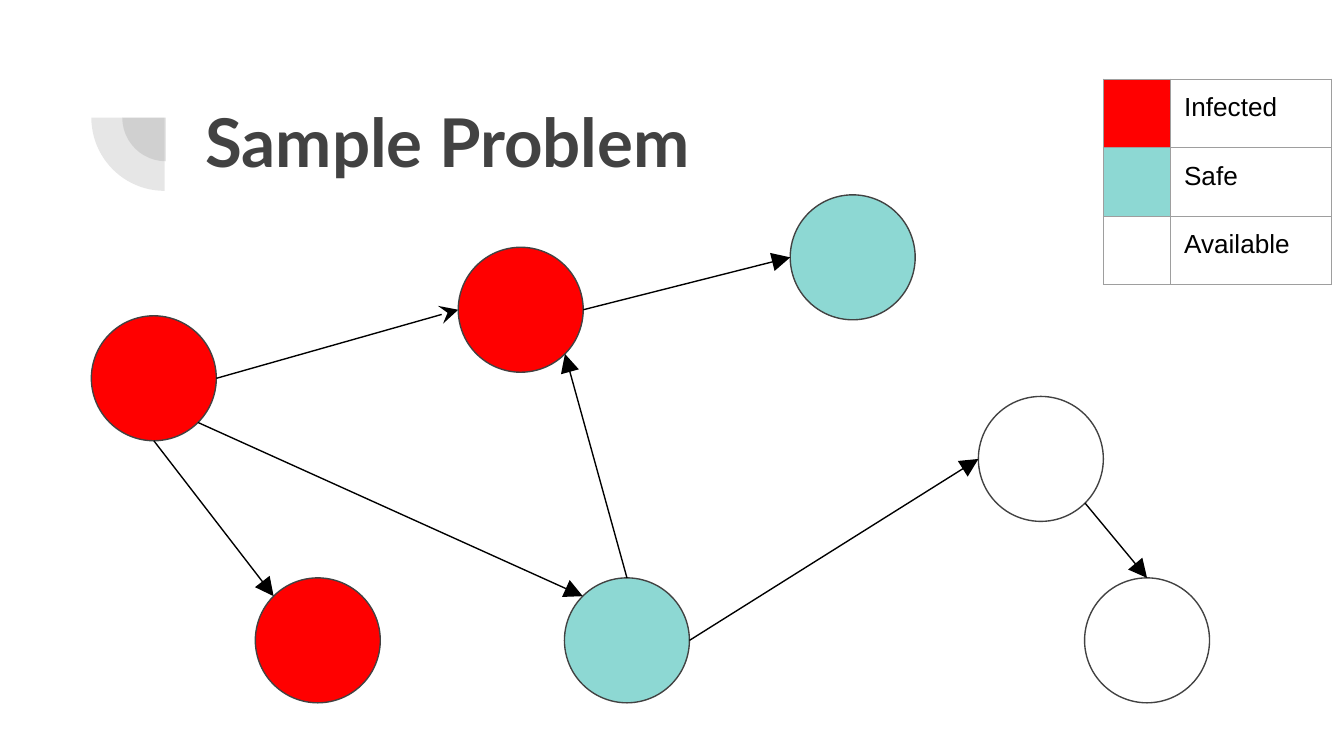
from dataclasses import dataclass
from math import cos, radians, sin

from lxml.etree import SubElement
from pptx import Presentation
from pptx.dml.color import RGBColor as RGB
from pptx.enum.shapes import MSO_CONNECTOR as LINK, MSO_SHAPE as SHAPE
from pptx.enum.text import MSO_ANCHOR as ANCHOR
from pptx.oxml import parse_xml
from pptx.oxml.ns import nsdecls, qn
from pptx.util import Inches, Pt


@dataclass(frozen=True)
class Theme:
    dark: str = "424242"
    black: str = "000000"
    grid: str = "9E9E9E"
    red: str = "FF0000"
    teal: str = "8DD8D3"
    white: str = "FFFFFF"
    title: int = 36
    label: int = 14
    line: float = 0.75
    head: str = "Lato"
    body: str = "Arial"


T = Theme()
WIDTH = 10
SIZE = 0.93

# name: left, top, fill
NODES = {
    "start": (0.68, 2.35, T.red),
    "upper": (3.41, 1.84, T.red),
    "lower": (1.9, 4.3, T.red),
    "guard": (4.2, 4.3, T.teal),
    "top": (5.88, 1.45, T.teal),
    "right": (7.28, 2.95, T.white),
    "last": (8.07, 4.3, T.white),
}

# Clockwise angles from the right-hand side of a node
E, SE, S, W, NW, N = 0, 45, 90, 180, 225, 270

EDGES = [
    ("start", E, "upper", W, "stealth"),
    ("upper", E, "top", W, "triangle"),
    ("start", SE, "guard", NW, "triangle"),
    ("guard", N, "upper", SE, "triangle"),
    ("guard", E, "right", W, "triangle"),
    ("start", S, "lower", NW, "triangle"),
    ("right", SE, "last", N, "triangle"),
]

LEGEND = [("Infected", T.red), ("Safe", T.teal), ("Available", None)]


def style(item, **values):
    for name, value in values.items():
        setattr(item, name, value)


def paint(fill, color):
    fill.solid()
    fill.fore_color.rgb = RGB.from_string(color)


def add_pie(slide, left, top, size):
    """Draw a faint quarter disc."""
    pie = slide.shapes.add_shape(
        SHAPE.PIE, Inches(left), Inches(top), Inches(size), Inches(size))
    pie.shadow.inherit = False
    pie.rotation = 270
    pie.adjustments[0], pie.adjustments[1] = 108, 162
    paint(pie.fill, T.dark)
    color = pie._element.spPr.find(".//" + qn("a:srgbClr"))
    SubElement(color, qn("a:alpha"), val="13000")
    pie.line.fill.background()


def add_title(slide, text):
    box = slide.shapes.add_textbox(
        Inches(1.43), Inches(0.65), Inches(7.69), Inches(1.09))
    frame = box.text_frame
    pad = Inches(0.1)
    style(frame, word_wrap=True, vertical_anchor=ANCHOR.TOP, margin_left=pad,
          margin_right=pad, margin_top=pad, margin_bottom=pad)
    run = frame.paragraphs[0].add_run()
    run.text = text
    style(run.font, name=T.head, size=Pt(T.title), bold=True)
    run.font.color.rgb = RGB.from_string(T.dark)


def add_node(slide, left, top, color):
    node = slide.shapes.add_shape(
        SHAPE.OVAL, Inches(left), Inches(top), Inches(SIZE), Inches(SIZE))
    node.shadow.inherit = False
    paint(node.fill, color)
    paint(node.line.fill, T.dark)
    node.line.width = Pt(T.line)


def rim(name, angle):
    """Give the point on a node's edge at an angle."""
    left, top, _ = NODES[name]
    turn, half = radians(angle), SIZE / 2
    return (Inches(left + half + half * cos(turn)),
            Inches(top + half + half * sin(turn)))


def add_edge(slide, source, leave, target, enter, tip):
    edge = slide.shapes.add_connector(
        LINK.STRAIGHT, *rim(source, leave), *rim(target, enter))
    paint(edge.line.fill, T.black)
    edge.line.width = Pt(T.line)
    props = edge._element.spPr
    SubElement(props.find(qn("a:ln")), qn("a:tailEnd"),
               type=tip, w="lg", len="lg")
    SubElement(props, qn("a:effectLst"))


def add_border(cell):
    props = cell._tc.get_or_add_tcPr()
    for index, side in enumerate(("lnL", "lnR", "lnT", "lnB")):
        props.insert(index, parse_xml(
            f'<a:{side} {nsdecls("a")} w="{Pt(T.line)}"><a:solidFill>'
            f'<a:srgbClr val="{T.grid}"/></a:solidFill></a:{side}>'))


def set_cell(cell, text, color):
    pad = Inches(0.1)
    style(cell, text=text, vertical_anchor=ANCHOR.TOP, margin_left=pad,
          margin_right=pad, margin_top=pad, margin_bottom=pad)
    for run in cell.text_frame.paragraphs[0].runs:
        style(run.font, name=T.body, size=Pt(T.label))
        run.font.color.rgb = RGB.from_string(T.black)
    if color:
        paint(cell.fill, color)
    else:
        cell.fill.background()
    add_border(cell)


def add_legend(slide):
    widths, height = (0.5, 1.2), 0.51
    table = slide.shapes.add_table(
        len(LEGEND), len(widths), Inches(8.21), Inches(0.59),
        Inches(sum(widths)), Inches(height * len(LEGEND))).table
    style(table, first_row=False, horz_banding=False)
    for column, width in zip(table.columns, widths):
        column.width = Inches(width)
    for row, (text, color) in zip(table.rows, LEGEND):
        row.height = Inches(height)
        set_cell(row.cells[0], "", color)
        set_cell(row.cells[1], text, None)


def main():
    deck = Presentation()
    deck.slide_width = Inches(WIDTH)
    deck.slide_height = Inches(WIDTH * 9 / 16)
    slide = deck.slides.add_slide(deck.slide_layouts[6])
    add_pie(slide, 0.91, 0.55, 0.65)
    add_pie(slide, 0.68, 0.33, 1.09)
    add_title(slide, "Sample Problem")
    for node in NODES.values():
        add_node(slide, *node)
    for edge in EDGES:
        add_edge(slide, *edge)
    add_legend(slide)
    deck.save("out.pptx")


if __name__ == "__main__":
    main()
